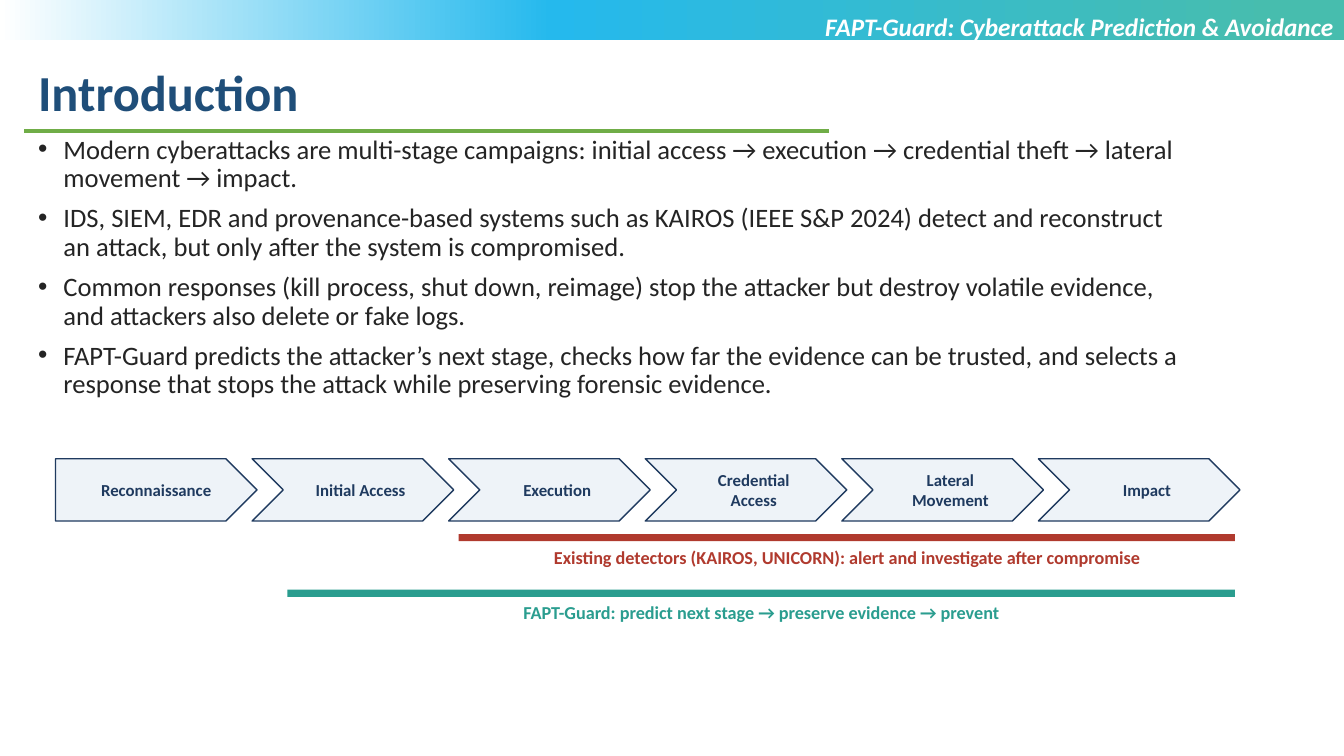
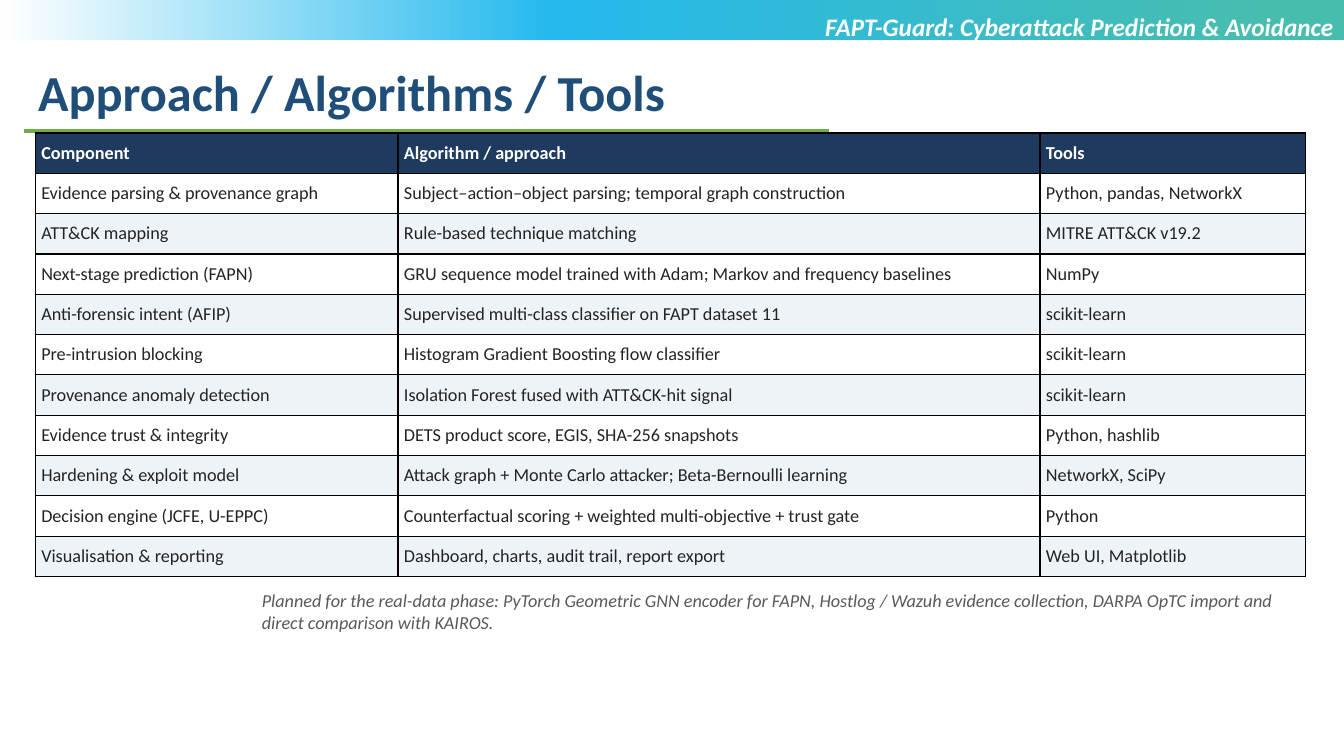
import pptx
import pptx.dml.color
import pptx.enum.shapes
import pptx.enum.text
import pptx.oxml
import pptx.oxml.ns
import pptx.util

Cm, Pt = pptx.util.Cm, pptx.util.Pt
SHAPES = pptx.enum.shapes.MSO_SHAPE
ALIGN = pptx.enum.text.PP_ALIGN
ANCHOR = pptx.enum.text.MSO_ANCHOR
NAMESPACE = pptx.oxml.ns.nsdecls("a")

PAGE_WIDTH, PAGE_HEIGHT = 33.87, 19.05
NAVY, PALE, INK, WHITE = "1F3A5F", "EEF3F8", "242424", "FFFFFF"
RED, TEAL = "B03A2E", "2A9D8F"
BAND_STOPS = [(5, "47BDAE"), (59, "25B9ED"), (100, WHITE)]
RUNNING_TITLE = "FAPT-Guard: Cyberattack Prediction & Avoidance"
DEFAULT_INSETS = (0.25, 0.13, 0.25, 0.13)
NO_INSETS = (0, 0, 0, 0)

TITLE = {"size": Pt(36), "bold": True, "color": "1F4E79"}
RUNNING = {"size": Pt(18), "bold": True, "italic": True, "color": WHITE}
BODY = {"size": Pt(19), "color": INK}
STAGE = {"size": Pt(12), "bold": True, "color": NAVY}
SPAN_LABEL = {"size": Pt(13), "bold": True}
HEADER_CELL = {"size": Pt(13), "bold": True, "color": WHITE}
BODY_CELL = {"size": Pt(13), "bold": False, "color": INK}
NOTE = {"size": Pt(13), "italic": True, "color": "595959"}

POINTS = [
    "Modern cyberattacks are multi-stage campaigns: initial access → execution → credential theft → lateral movement → impact.",
    "IDS, SIEM, EDR and provenance-based systems such as KAIROS (IEEE S&P 2024) detect and reconstruct an attack, but only after the system is compromised.",
    "Common responses (kill process, shut down, reimage) stop the attacker but destroy volatile evidence, and attackers also delete or fake logs.",
    "FAPT-Guard predicts the attacker’s next stage, checks how far the evidence can be trusted, and selects a response that stops the attack while preserving forensic evidence.",
]
STAGES = ["Reconnaissance", "Initial Access", "Execution",
          "Credential Access", "Lateral Movement", "Impact"]
COVERAGE = [
    (11.56, RED, "Existing detectors (KAIROS, UNICORN): alert and investigate after compromise"),
    (7.24, TEAL, "FAPT-Guard: predict next stage → preserve evidence → prevent"),
]
COMPONENTS = [
    ("Component", "Algorithm / approach", "Tools"),
    ("Evidence parsing & provenance graph", "Subject–action–object parsing; temporal graph construction", "Python, pandas, NetworkX"),
    ("ATT&CK mapping", "Rule-based technique matching", "MITRE ATT&CK v19.2"),
    ("Next-stage prediction (FAPN)", "GRU sequence model trained with Adam; Markov and frequency baselines", "NumPy"),
    ("Anti-forensic intent (AFIP)", "Supervised multi-class classifier on FAPT dataset 11", "scikit-learn"),
    ("Pre-intrusion blocking", "Histogram Gradient Boosting flow classifier", "scikit-learn"),
    ("Provenance anomaly detection", "Isolation Forest fused with ATT&CK-hit signal", "scikit-learn"),
    ("Evidence trust & integrity", "DETS product score, EGIS, SHA-256 snapshots", "Python, hashlib"),
    ("Hardening & exploit model", "Attack graph + Monte Carlo attacker; Beta-Bernoulli learning", "NetworkX, SciPy"),
    ("Decision engine (JCFE, U-EPPC)", "Counterfactual scoring + weighted multi-objective + trust gate", "Python"),
    ("Visualisation & reporting", "Dashboard, charts, audit trail, report export", "Web UI, Matplotlib"),
]
PLAN = ("Planned for the real-data phase: PyTorch Geometric GNN encoder for FAPN, Hostlog / Wazuh evidence "
        "collection, DARPA OpTC import and direct comparison with KAIROS.")


def rgb(value):
    """Turn a hex string into a colour."""
    return pptx.dml.color.RGBColor.from_string(value)


def assign(target, values):
    """Set each named attribute of the target."""
    for name, value in values.items():
        setattr(target, name, value)


def write(paragraph, text, style):
    """Add one styled span to a paragraph."""
    span = paragraph.add_run()
    span.text = text
    values = {"name": "Calibri", **style}
    span.font.color.rgb = rgb(values.pop("color"))
    assign(span.font, values)


def set_frame(frame, insets, anchor=ANCHOR.TOP):
    """Set wrapping, insets and anchor of a text frame."""
    left, top, right, bottom = (Cm(inset) for inset in insets)
    assign(frame, {"word_wrap": True, "vertical_anchor": anchor, "margin_left": left,
                   "margin_top": top, "margin_right": right, "margin_bottom": bottom})


def add_text(page, box, text, style, align=ALIGN.LEFT, insets=DEFAULT_INSETS):
    """Add a one-paragraph text box."""
    frame = page.shapes.add_textbox(*map(Cm, box)).text_frame
    set_frame(frame, insets)
    frame.paragraphs[0].alignment = align
    write(frame.paragraphs[0], text, style)


def add_block(page, kind, box, fill, line=None):
    """Add a flat preset shape, outlined when a line colour is given."""
    shape = page.shapes.add_shape(kind, *map(Cm, box))
    shape.shadow.inherit = False
    shape.fill.solid()
    shape.fill.fore_color.rgb = rgb(fill)
    if line:
        shape.line.color.rgb = rgb(line)
        shape.line.width = Pt(1)
    else:
        shape.line.fill.background()
    return shape


def add_band(page, box):
    """Add the gradient band across the top."""
    band = add_block(page, SHAPES.RECTANGLE, box, WHITE)
    stops = "".join(f'<a:gs pos="{place * 1000}"><a:srgbClr val="{color}"/></a:gs>'
                    for place, color in BAND_STOPS)
    gradient = pptx.oxml.parse_xml(
        f'<a:gradFill {NAMESPACE} rotWithShape="1"><a:gsLst>{stops}</a:gsLst>'
        '<a:lin ang="10800000" scaled="0"/></a:gradFill>')
    properties = band._element.spPr
    properties.replace(properties.find(pptx.oxml.ns.qn("a:solidFill")), gradient)


def add_rule(page, left, top, width):
    """Add the green line under the title."""
    rule = page.shapes.add_connector(pptx.enum.shapes.MSO_CONNECTOR.STRAIGHT,
                                     Cm(left), Cm(top), Cm(left + width), Cm(top))
    rule.line.color.rgb = rgb("70AD47")
    rule.line.width = Pt(2.25)
    rule._element.spPr.append(pptx.oxml.parse_xml(f"<a:effectLst {NAMESPACE}/>"))


def add_page(deck, title):
    """Add a page with the shared band, title and rule."""
    page = deck.slides.add_slide(deck.slide_layouts[6])
    add_band(page, (0, 0, PAGE_WIDTH, 1.02))
    add_text(page, (0.71, 1.4, 29.51, 1.8), title, TITLE)
    add_rule(page, 0.61, 3.3, 20.29)
    add_text(page, (16.92, 0.15, 16.94, 1.8), RUNNING_TITLE, RUNNING, ALIGN.RIGHT)
    return page


def add_bullets(page, box, points):
    """Add a bulleted list."""
    frame = page.shapes.add_textbox(*map(Cm, box)).text_frame
    set_frame(frame, DEFAULT_INSETS)
    for index, point in enumerate(points):
        paragraph = frame.add_paragraph() if index else frame.paragraphs[0]
        properties = paragraph._p.get_or_add_pPr()
        properties.set("marL", str(Cm(0.64)))
        properties.set("indent", str(-Cm(0.64)))
        for markup in ('buFont {} typeface="Arial"', 'buChar {} char="•"'):
            properties.append(pptx.oxml.parse_xml(f"<a:{markup.format(NAMESPACE)}/>"))
        assign(paragraph, {"line_spacing": 0.9, "space_before": Pt(8 if index else 0)})
        write(paragraph, point, BODY)


def add_stages(page, box, stages):
    """Add the overlapping arrows of the attack chain."""
    left, top, width, height = box
    arrow_width = 5.08
    pitch = (width - arrow_width) / (len(stages) - 1)
    for index, stage in enumerate(stages):
        kind = SHAPES.CHEVRON if index else SHAPES.PENTAGON
        arrow = add_block(page, kind, (left + index * pitch, top, arrow_width, height), PALE, NAVY)
        set_frame(arrow.text_frame, (0.64, 0.13, 0.25, 0.13), ANCHOR.MIDDLE)
        paragraph = arrow.text_frame.paragraphs[0]
        paragraph.alignment = ALIGN.CENTER
        write(paragraph, stage, STAGE)


def add_coverage(page, right, top, spans):
    """Add labelled bars that end at a common right edge."""
    for index, (left, color, label) in enumerate(spans):
        bar_top, width = top + 1.4 * index, right - left
        add_block(page, SHAPES.RECTANGLE, (left, bar_top, width, 0.18), color)
        add_text(page, (left, bar_top + 0.3, width, 0.76), label,
                 {**SPAN_LABEL, "color": color}, ALIGN.CENTER, NO_INSETS)


def add_borders(cell):
    """Draw black borders around a cell."""
    properties = cell._tc.get_or_add_tcPr()
    for side in "LRTB":
        properties.append(pptx.oxml.parse_xml(
            f'<a:ln{side} {NAMESPACE} w="12700"><a:solidFill><a:srgbClr val="000000"/>'
            f"</a:solidFill></a:ln{side}>"))


def add_grid(page, box, widths, rows):
    """Add a table with a dark header and alternating rows."""
    table = page.shapes.add_table(len(rows), len(widths), *map(Cm, box)).table
    assign(table, {"first_row": False, "horz_banding": False})
    for column, width in zip(table.columns, widths):
        column.width = Cm(width)
    for row_index, texts in enumerate(rows):
        table.rows[row_index].height = Cm(box[3] / len(rows))
        style = BODY_CELL if row_index else HEADER_CELL
        fill = (WHITE if row_index % 2 else PALE) if row_index else NAVY
        for column_index, text in enumerate(texts):
            cell = table.cell(row_index, column_index)
            assign(cell, {"vertical_anchor": ANCHOR.MIDDLE, "margin_left": Cm(0.15),
                          "margin_right": Cm(0.15), "margin_top": Cm(0.08),
                          "margin_bottom": Cm(0.08)})
            add_borders(cell)
            cell.fill.solid()
            cell.fill.fore_color.rgb = rgb(fill)
            write(cell.text_frame.paragraphs[0], text, style)


def add_introduction(deck):
    """Build the introduction page."""
    page = add_page(deck, "Introduction")
    add_bullets(page, (0.71, 3.3, 29.51, 7.87), POINTS)
    add_stages(page, (1.4, 11.56, 29.85, 1.57), STAGES)
    add_coverage(page, 31.12, 13.46, COVERAGE)


def add_approach(deck):
    """Build the page of components, algorithms and tools."""
    page = add_page(deck, "Approach / Algorithms / Tools")
    add_grid(page, (0.89, 3.35, 32, 11.18), (9.14, 16.18, 6.68), COMPONENTS)
    add_text(page, (6.6, 14.86, 26.16, 1.27), PLAN, NOTE, insets=NO_INSETS)


def main():
    """Build and save the deck."""
    deck = pptx.Presentation()
    assign(deck, {"slide_width": Cm(PAGE_WIDTH), "slide_height": Cm(PAGE_HEIGHT)})
    add_introduction(deck)
    add_approach(deck)
    deck.save("out.pptx")


if __name__ == "__main__":
    main()
